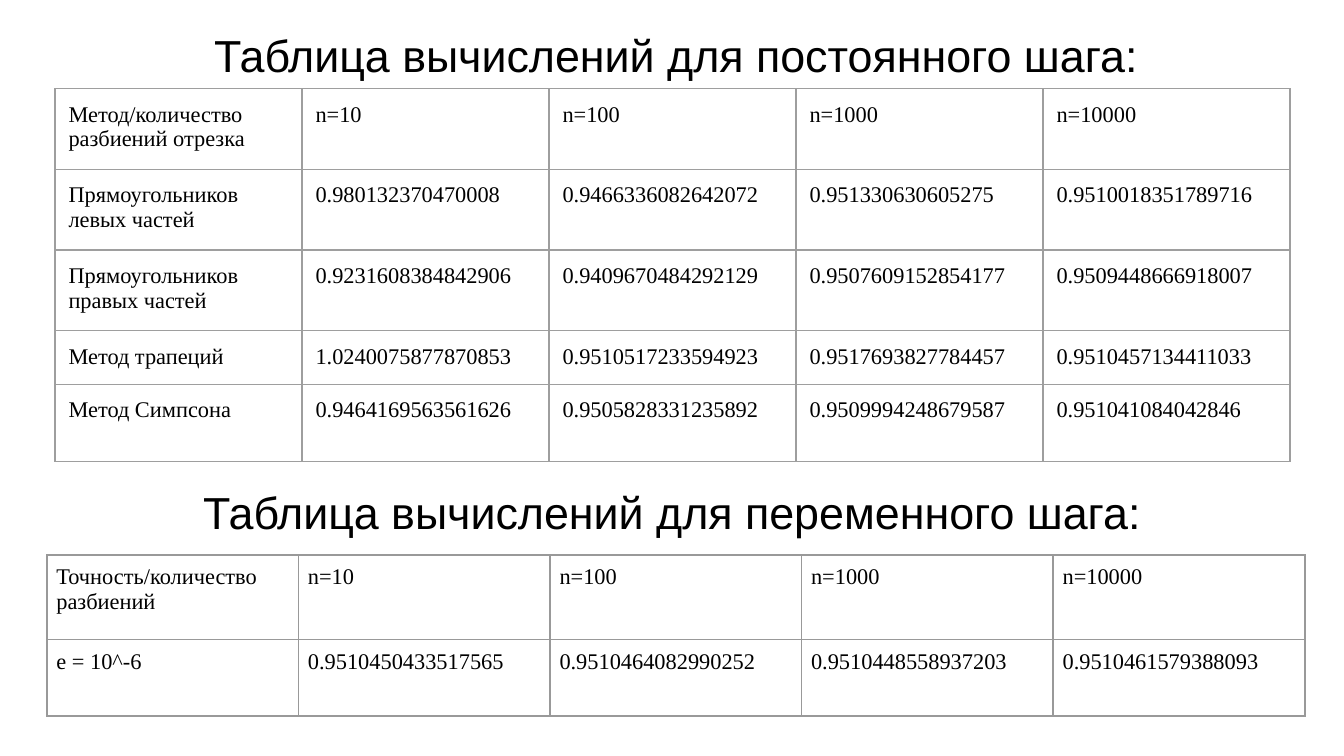
from lxml import etree
from pptx import Presentation
from pptx.dml.color import RGBColor
from pptx.enum import text
from pptx.oxml import ns
from pptx.util import Inches, Pt


def add_run(paragraph, words, font, size, color="000000"):
    run = paragraph.add_run()
    run.text = words
    run.font.name = font
    run.font.size = Pt(size)
    run.font.color.rgb = RGBColor.from_string(color)


def add_borders(cell, color, width):
    props = cell._tc.get_or_add_tcPr()
    for index, side in enumerate(("lnL", "lnR", "lnT", "lnB")):
        line = etree.Element(ns.qn("a:" + side), w=str(Pt(width)))
        fill = etree.SubElement(line, ns.qn("a:solidFill"))
        etree.SubElement(fill, ns.qn("a:srgbClr"), val=color)
        props.insert(index, line)


deck = Presentation()
deck.slide_width = Inches(10)
deck.slide_height = Inches(10 * 9 / 16)
slide = deck.slides.add_slide(deck.slide_layouts[6])

headings = [
    ("Таблица вычислений для постоянного шага:", 0.37, 0.09),
    ("Таблица вычислений для переменного шага:", 0.34, 3.49),
]
for words, left, top in headings:
    heading = slide.shapes.add_textbox(Inches(left), Inches(top), Inches(9.32), Inches(0.63))
    frame = heading.text_frame
    frame.word_wrap = True
    frame.vertical_anchor = text.MSO_ANCHOR.MIDDLE
    frame.margin_left = frame.margin_right = Inches(0.1)
    frame.margin_top = frame.margin_bottom = Inches(0.1)
    frame.paragraphs[0].alignment = text.PP_ALIGN.CENTER
    add_run(frame.paragraphs[0], words, "Arial", 24)

splits = ["n=10", "n=100", "n=1000", "n=10000"]
constant_step = [
    ["Метод/количество разбиений отрезка"] + splits,
    ["Прямоугольников левых частей", "0.980132370470008", "0.9466336082642072",
     "0.951330630605275", "0.9510018351789716"],
    ["Прямоугольников правых частей", "0.9231608384842906", "0.9409670484292129",
     "0.9507609152854177", "0.9509448666918007"],
    ["Метод трапеций", "1.0240075877870853", "0.9510517233594923",
     "0.9517693827784457", "0.9510457134411033"],
    ["Метод Симпсона", "0.9464169563561626", "0.9505828331235892",
     "0.9509994248679587", "0.951041084042846"],
]
variable_step = [
    ["Точность/количество разбиений"] + splits,
    ["e = 10^-6", "0.9510450433517565", "0.9510464082990252",
     "0.9510448558937203", "0.9510461579388093"],
]
tables = [
    (constant_step, 0.41, 0.66, 9.19, [0.37, 0.6, 0.51, 0.33, 0.57], 0.1, "9E9E9E", 0.75),
    (variable_step, 0.35, 4.13, 9.36, [0.63, 0.57], 0.07, "999999", 1),
]
for rows, left, top, width, heights, margin, border, border_width in tables:
    table = slide.shapes.add_table(
        len(rows), len(rows[0]), Inches(left), Inches(top),
        Inches(width), Inches(sum(heights))).table
    table.first_row = table.horz_banding = False
    for r, values in enumerate(rows):
        table.rows[r].height = Inches(heights[r])
        for c, value in enumerate(values):
            cell = table.cell(r, c)
            cell.fill.background()
            cell.margin_left = cell.margin_right = Inches(margin)
            cell.margin_top = cell.margin_bottom = Inches(margin)
            add_borders(cell, border, border_width)
            add_run(cell.text_frame.paragraphs[0], value, "Times New Roman", 12)

deck.save("out.pptx")
